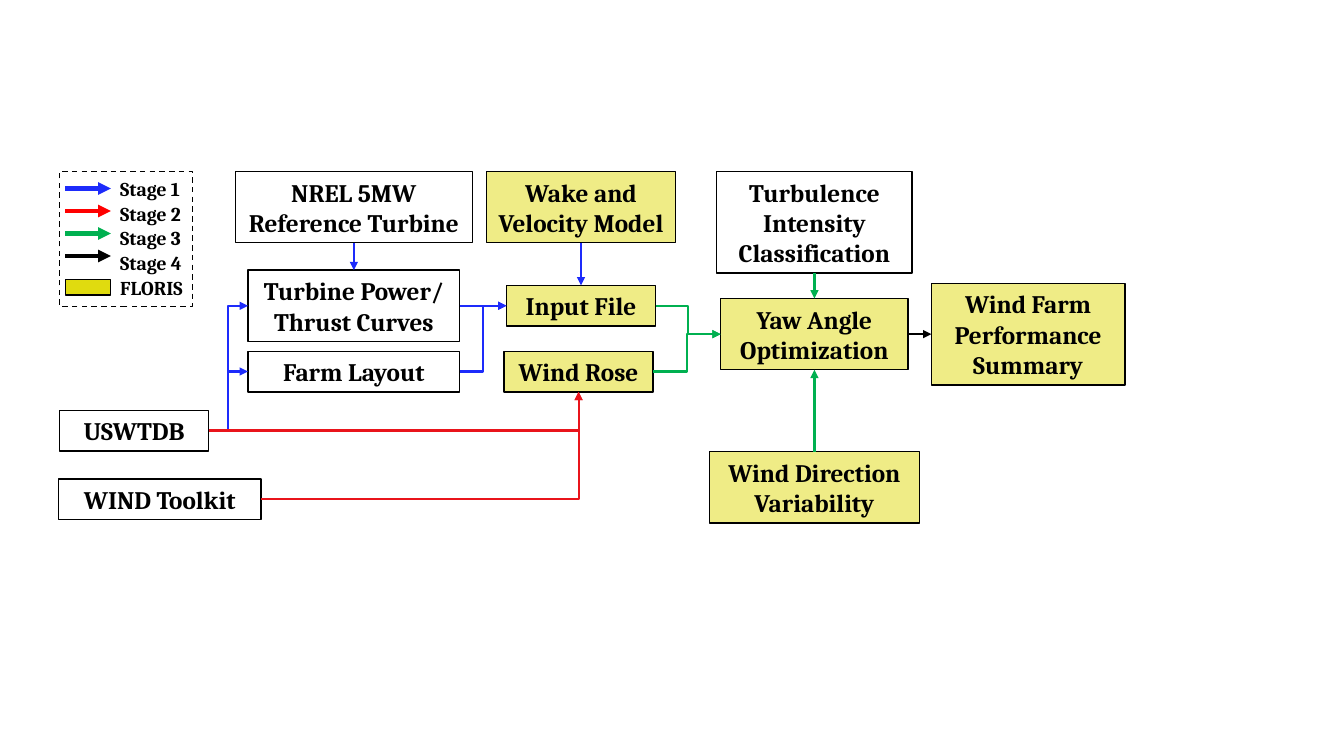
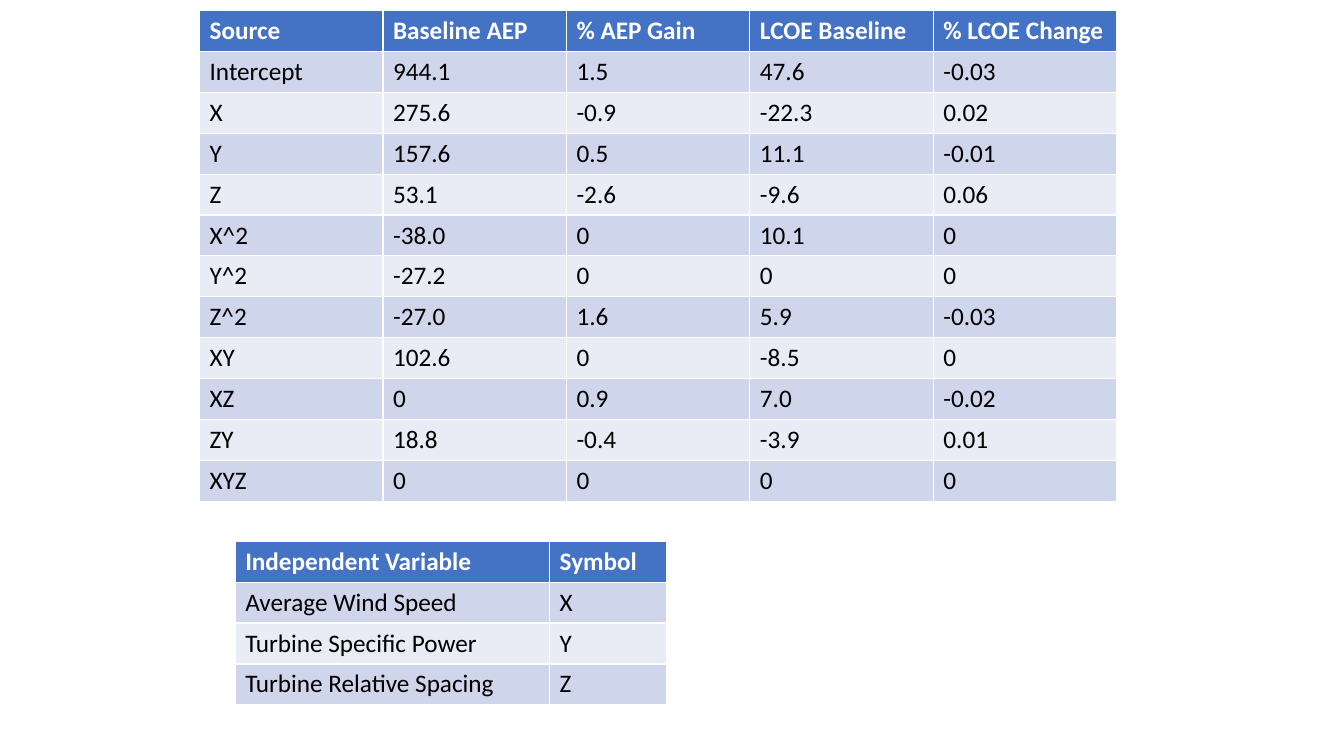
from lxml.etree import SubElement
from pptx import Presentation
from pptx.dml.color import RGBColor
from pptx.enum.dml import MSO_LINE
from pptx.enum.shapes import MSO_CONNECTOR as LINK, MSO_SHAPE as SHAPE
from pptx.enum.text import MSO_ANCHOR as ANCHOR, PP_ALIGN as ALIGN
from pptx.oxml.ns import qn
from pptx.util import Inches, Pt

BLACK = RGBColor(0x00, 0x00, 0x00)
WHITE = RGBColor(0xFF, 0xFF, 0xFF)
BLUE = RGBColor(0x1D, 0x2B, 0xFB)
RED = RGBColor(0xE9, 0x14, 0x1B)
LEGEND_RED = RGBColor(0xFF, 0x00, 0x00)
GREEN = RGBColor(0x00, 0xB0, 0x50)
YELLOW = RGBColor(0xE0, 0xDB, 0x0F)
HEADER = RGBColor(0x44, 0x72, 0xC4)
BANDS = [RGBColor(0xE9, 0xEB, 0xF5), RGBColor(0xCF, 0xD5, 0xEA)]

deck = Presentation()
deck.slide_width = Inches(13.33)
deck.slide_height = Inches(7.5)
COL = deck.slide_width / 100
ROW = deck.slide_height / 100
blank = deck.slide_layouts[6]


def write(frame, text, font="Cambria", size=18, bold=True, color=BLACK,
          align=ALIGN.LEFT, anchor=ANCHOR.MIDDLE):
    frame.word_wrap = True
    frame.vertical_anchor = anchor
    paragraph = frame.paragraphs[0]
    paragraph.alignment = align
    run = paragraph.add_run()
    run.text = text
    run.font.name = font
    run.font.size = Pt(size)
    run.font.bold = bold
    run.font.color.rgb = color


def style_arrow(arrow, color, weight):
    arrow.line.color.rgb = color
    arrow.line.width = Pt(weight)
    properties = arrow._element.spPr
    SubElement(properties.find(qn("a:ln")), qn("a:tailEnd"), type="triangle")
    SubElement(properties, qn("a:effectLst"))


workflow = deck.slides.add_slide(blank)

ONE_LINE, TWO_LINES, THREE_LINES = 5.38, 9.42, 13.46
TURBINE_X, INPUT_X, YAW_X = 26.33, 43.23, 60.6
CURVES_Y, LAYOUT_Y, YAW_Y = 40.45, 49.15, 44.2
SWATCH_X, LEGEND_Y, LEGEND_STEP = 6.56, 24.93, 3.27

steps = [
    ("Input File", INPUT_X, CURVES_Y, 11.1, ONE_LINE, YELLOW),
    ("USWTDB", 9.98, 56.95, 11.1, ONE_LINE, None),
    ("Turbine Power/ Thrust Curves", TURBINE_X, CURVES_Y, 15.75, TWO_LINES, None),
    ("Wind Rose", 43.05, LAYOUT_Y, 11.1, ONE_LINE, YELLOW),
    ("WIND Toolkit", 11.89, 66.05, 15.08, ONE_LINE, None),
    ("NREL 5MW Reference Turbine", TURBINE_X, 27.4, 17.63, TWO_LINES, None),
    ("Yaw Angle Optimization", YAW_X, YAW_Y, 13.95, TWO_LINES, YELLOW),
    ("Turbulence Intensity Classification", YAW_X, 29.4, 14.55, THREE_LINES, None),
    ("Wake and Velocity Model", INPUT_X, 27.4, 14.1, TWO_LINES, YELLOW),
    ("Wind Direction Variability", YAW_X, 64.45, 15.6, TWO_LINES, YELLOW),
    ("Farm Layout", TURBINE_X, LAYOUT_Y, 15.75, ONE_LINE, None),
    ("Wind Farm Performance Summary", 76.5, YAW_Y, 14.4, THREE_LINES, YELLOW),
    ("", 9.38, 31.6, 9.9, 17.87, None),
    ("", SWATCH_X, LEGEND_Y + 4 * LEGEND_STEP, 3.38, 2, YELLOW),
]
step_boxes = {}
for label, center_x, center_y, width, height, fill in steps:
    box = workflow.shapes.add_shape(
        SHAPE.RECTANGLE, round((center_x - width / 2) * COL),
        round((center_y - height / 2) * ROW), round(width * COL), round(height * ROW))
    box.shadow.inherit = False
    box.line.color.rgb = BLACK
    box.line.width = Pt(1)
    if fill:
        box.fill.solid()
        box.fill.fore_color.rgb = fill
    else:
        box.fill.background()
    if label:
        write(box.text_frame, label, align=ALIGN.CENTER)
        step_boxes[label] = box
        for tint in box._element.spPr.iterfind(qn("a:solidFill") + "/" + qn("a:srgbClr")):
            SubElement(tint, qn("a:alpha"), val="50000")
    elif not fill:
        box.line.dash_style = MSO_LINE.DASH

TOP, LEFT, BOTTOM, RIGHT = range(4)
flows = [
    ("Wake and Velocity Model", BOTTOM, "Input File", TOP, BLUE, "line"),
    ("Turbulence Intensity Classification", BOTTOM, "Yaw Angle Optimization", TOP, GREEN, "line"),
    ("Wind Direction Variability", TOP, "Yaw Angle Optimization", BOTTOM, GREEN, "line"),
    ("Turbine Power/ Thrust Curves", RIGHT, "Input File", LEFT, BLUE, "line"),
    ("Input File", RIGHT, "Yaw Angle Optimization", LEFT, GREEN, "bentConnector3"),
    ("Wind Rose", RIGHT, "Yaw Angle Optimization", LEFT, GREEN, "bentConnector3"),
    ("USWTDB", RIGHT, "Turbine Power/ Thrust Curves", LEFT, BLUE, "bentConnector3"),
    ("USWTDB", RIGHT, "Farm Layout", LEFT, BLUE, "bentConnector3"),
    ("Farm Layout", RIGHT, "Input File", LEFT, BLUE, "bentConnector3"),
    ("WIND Toolkit", RIGHT, "Wind Rose", BOTTOM, RED, "bentConnector2"),
    ("USWTDB", RIGHT, "Wind Rose", BOTTOM, RED, "bentConnector2"),
    ("NREL 5MW Reference Turbine", BOTTOM, "Turbine Power/ Thrust Curves", TOP, BLUE, "line"),
    ("Yaw Angle Optimization", RIGHT, "Wind Farm Performance Summary", LEFT, BLACK, "line"),
]
for source, source_side, target, target_side, color, route in flows:
    kind = LINK.STRAIGHT if route == "line" else LINK.ELBOW
    flow = workflow.shapes.add_connector(kind, 0, 0, 0, 0)
    flow.begin_connect(step_boxes[source], source_side)
    flow.end_connect(step_boxes[target], target_side)
    style_arrow(flow, color, 1.5)
    flow._element.spPr.find(qn("a:prstGeom")).set("prst", route)

legend = [("Stage 1", BLUE), ("Stage 2", LEGEND_RED), ("Stage 3", GREEN),
          ("Stage 4", BLACK), ("FLORIS", None)]
for index, (entry, color) in enumerate(legend):
    caption = workflow.shapes.add_textbox(
        round(8.2 * COL), round((LEGEND_Y + index * LEGEND_STEP - 2.25) * ROW),
        round(7.1 * COL), round(4.5 * ROW))
    write(caption.text_frame, entry, size=14)
    if color is not None:
        y = round((LEGEND_Y + index * 2.98) * ROW)
        stage = workflow.shapes.add_connector(
            LINK.STRAIGHT, round((SWATCH_X - 1.69) * COL), y,
            round((SWATCH_X + 1.69) * COL), y)
        style_arrow(stage, color, 3)

results = deck.slides.add_slide(blank)
effects = [
    ["Source", "Baseline AEP", "% AEP Gain", "LCOE Baseline", "% LCOE Change"],
    ["Intercept", "944.1", "1.5", "47.6", "-0.03"],
    ["X", "275.6", "-0.9", "-22.3", "0.02"],
    ["Y", "157.6", "0.5", "11.1", "-0.01"],
    ["Z", "53.1", "-2.6", "-9.6", "0.06"],
    ["X^2", "-38.0", "0", "10.1", "0"],
    ["Y^2", "-27.2", "0", "0", "0"],
    ["Z^2", "-27.0", "1.6", "5.9", "-0.03"],
    ["XY", "102.6", "0", "-8.5", "0"],
    ["XZ", "0", "0.9", "7.0", "-0.02"],
    ["ZY", "18.8", "-0.4", "-3.9", "0.01"],
    ["XYZ", "0", "0", "0", "0"],
]
variables = [
    ["Independent Variable", "Symbol"],
    ["Average Wind Speed", "X"],
    ["Turbine Specific Power", "Y"],
    ["Turbine Relative Spacing", "Z"],
]
for records, left, top, widths in [(effects, 14.85, 1.4, [13.65] * 5),
                                   (variables, 17.5, 71.6, [23.4, 8.7])]:
    grid = results.shapes.add_table(
        len(records), len(widths), round(left * COL), round(top * ROW),
        round(sum(widths) * COL), round(len(records) * 5.41 * ROW)).table
    for column, width in zip(grid.columns, widths):
        column.width = round(width * COL)
    for r, record in enumerate(records):
        for c, value in enumerate(record):
            cell = grid.cell(r, c)
            cell.fill.solid()
            cell.fill.fore_color.rgb = BANDS[r % 2] if r else HEADER
            write(cell.text_frame, value, font="Calibri", bold=r == 0,
                  color=BLACK if r else WHITE, anchor=ANCHOR.TOP)

deck.save("out.pptx")
